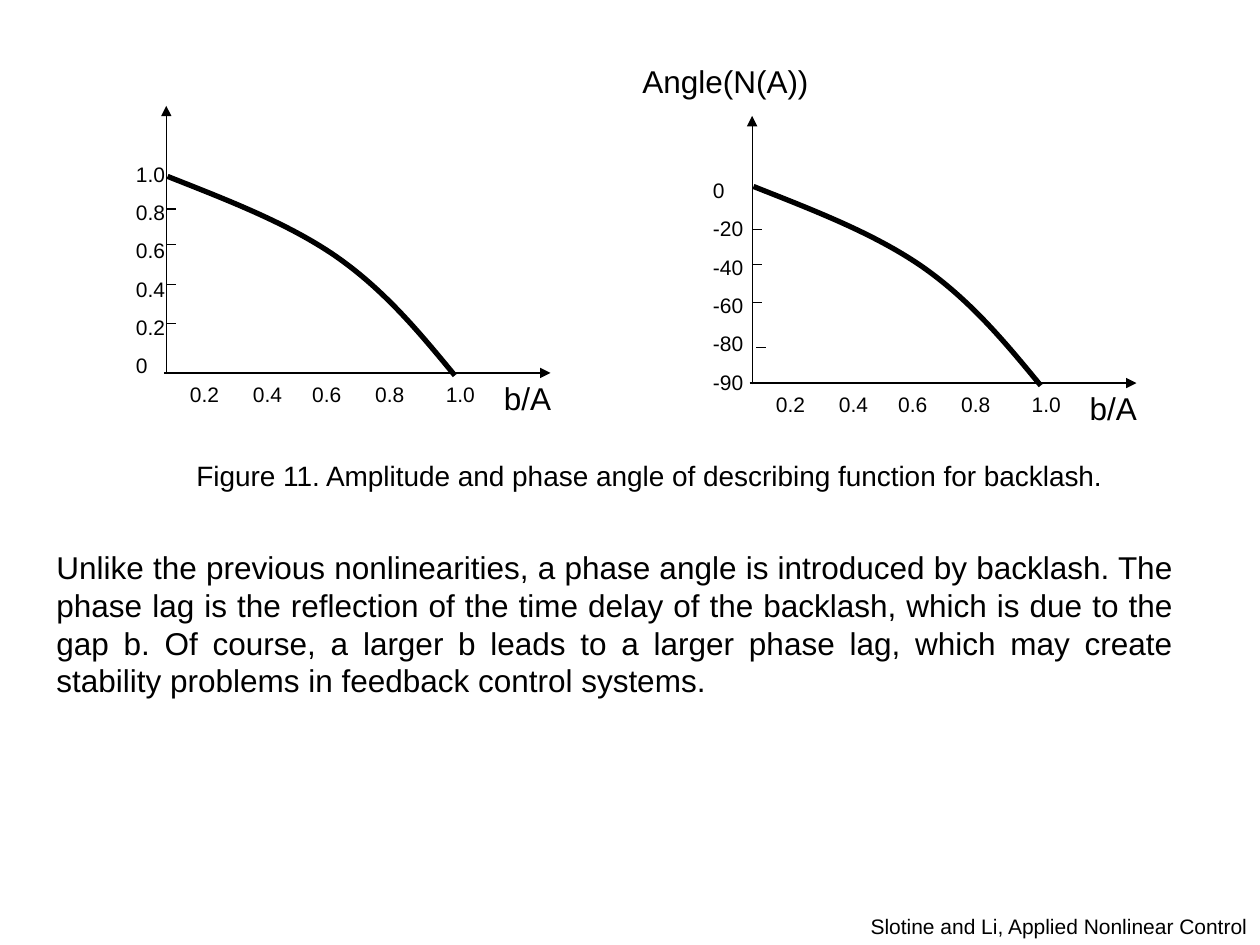
"""Build the slide on amplitude and phase angle of backlash."""
from dataclasses import dataclass

from lxml import etree
from pptx import Presentation
from pptx import util as u
from pptx.dml.color import RGBColor
from pptx.enum import shapes, text
from pptx.oxml.ns import qn

BLACK = "000000"
FONT = "Arial"
CURVE = ((0.01, -1.56), (0.49, -1.37), (0.96, -1.19), (1.34, -0.93),
         (1.73, -0.66), (2.01, -0.32), (2.29, 0.02))
X_LABELS = ("0.2", "0.4", "0.6", "0.8", "1.0")
X_STOPS = (0.35, 0.85, 1.32, 1.82, 2.38)


@dataclass
class Label:
    left: float
    top: float
    width: float
    height: float
    lines: tuple
    size: float = 18
    before: float = 11.2
    align: text.PP_ALIGN = text.PP_ALIGN.LEFT
    anchor: text.MSO_ANCHOR = text.MSO_ANCHOR.TOP
    stops: tuple = ()


@dataclass
class Plot:
    x: float
    y: float
    labels_left: float
    labels_top: float
    y_labels: tuple
    ticks: tuple


PLOTS = (
    Plot(1.32, 2.96, 0.98, 1.23, ("1.0", "0.8", "0.6", "0.4", "0.2", "0"),
         ((1.32, 1.66), (1.32, 1.94), (1.32, 2.26), (1.32, 2.57))),
    Plot(5.97, 3.04, 5.56, 1.36, ("0", "-20", "-40", "-60", "-80", "-90"),
         ((5.97, 1.82), (5.97, 2.1), (5.97, 2.4), (6, 2.76))),
)

TEXTS = (
    Label(1.46, 3.59, 7.48, 0.37,
          ("Figure 11. Amplitude and phase angle of describing function for backlash.",), 16, 10),
    Label(5, 0.44, 2.44, 0.4, ("Angle(N(A))",)),
    Label(0.35, 4.3, 9.06, 1.3,
          ("Unlike the previous nonlinearities, a phase angle is introduced by backlash. "
           "The phase lag is the reflection of the time delay of the backlash, which is due "
           "to the gap b. Of course, a larger b leads to a larger phase lag, which may create "
           "stability problems in feedback control systems.",), align=text.PP_ALIGN.JUSTIFY),
    Label(6.46, 7.2, 3.54, 0.3, ("Slotine and Li, Applied Nonlinear Control",), 12, 7.5,
          text.PP_ALIGN.RIGHT),
)


def color(value: str) -> RGBColor:
    return RGBColor.from_string(value)


def add_label(s, label: Label) -> None:
    box = (label.left, label.top, label.width, label.height)
    sp = s.shapes.add_textbox(*map(u.Inches, box))
    tf = sp.text_frame
    tf.word_wrap = True
    tf.vertical_anchor = label.anchor
    tf.text = "\n".join(label.lines)
    for p in tf.paragraphs:
        p.alignment = label.align
        p.space_before = u.Pt(label.before)
        if label.stops:
            tabs = etree.SubElement(p._p.get_or_add_pPr(), qn("a:tabLst"))
            for stop in label.stops:
                etree.SubElement(tabs, qn("a:tab"), pos=str(u.Inches(stop)), algn="l")
        for r in p.runs:
            r.font.name = FONT
            r.font.size = u.Pt(label.size)
            r.font.color.rgb = color(BLACK)


def add_line(s, x1: float, y1: float, x2: float, y2: float, arrow: bool = False) -> None:
    c = s.shapes.add_connector(shapes.MSO_CONNECTOR.STRAIGHT, *map(u.Inches, (x1, y1, x2, y2)))
    c.line.color.rgb = color(BLACK)
    c.line.width = u.Pt(0.75)
    if arrow:
        etree.SubElement(c.line._get_or_add_ln(), qn("a:tailEnd"), type="triangle")
    etree.SubElement(c._element.spPr, qn("a:effectLst"))


def add_curve(s, x: float, y: float) -> None:
    points = [(u.Inches(x + dx), u.Inches(y + dy)) for dx, dy in CURVE]
    builder = s.shapes.build_freeform(*points[0])
    builder.add_line_segments(points[1:], close=False)
    sp = builder.convert_to_shape()
    sp.shadow.inherit = False
    sp.fill.background()
    sp.line.color.rgb = color(BLACK)
    sp.line.width = u.Pt(3)
    segments = list(sp._element.iter(qn("a:lnTo")))
    for first, second, third in zip(*[iter(segments)] * 3):
        first.tag = qn("a:cubicBezTo")
        for segment in (second, third):
            first.append(segment[0])
            segment.getparent().remove(segment)


def add_plot(s, plot: Plot) -> None:
    x, y = plot.x, plot.y
    add_line(s, x, y + 0.01, x, y - 2.12, arrow=True)
    add_line(s, x - 0.02, y, x + 3.05, y, arrow=True)
    add_label(s, Label(plot.labels_left, plot.labels_top, 0.71, 1.82, plot.y_labels, 12, 7.5))
    add_label(s, Label(x - 0.26, y - 0.08, 4.1, 0.4, ("\t" + "\t".join(X_LABELS),), 12,
                       anchor=text.MSO_ANCHOR.BOTTOM, stops=X_STOPS))
    add_label(s, Label(x + 2.58, y, 1.02, 0.4, ("b/A",)))
    for left, top in plot.ticks:
        add_line(s, left, top, left + 0.08, top)
    add_curve(s, x, y)


def main() -> None:
    prs = Presentation()
    prs.slide_width, prs.slide_height = u.Inches(10), u.Inches(7.5)
    s = prs.slides.add_slide(prs.slide_layouts[6])
    for plot in PLOTS:
        add_plot(s, plot)
    for label in TEXTS:
        add_label(s, label)
    prs.save("out.pptx")


if __name__ == "__main__":
    main()
